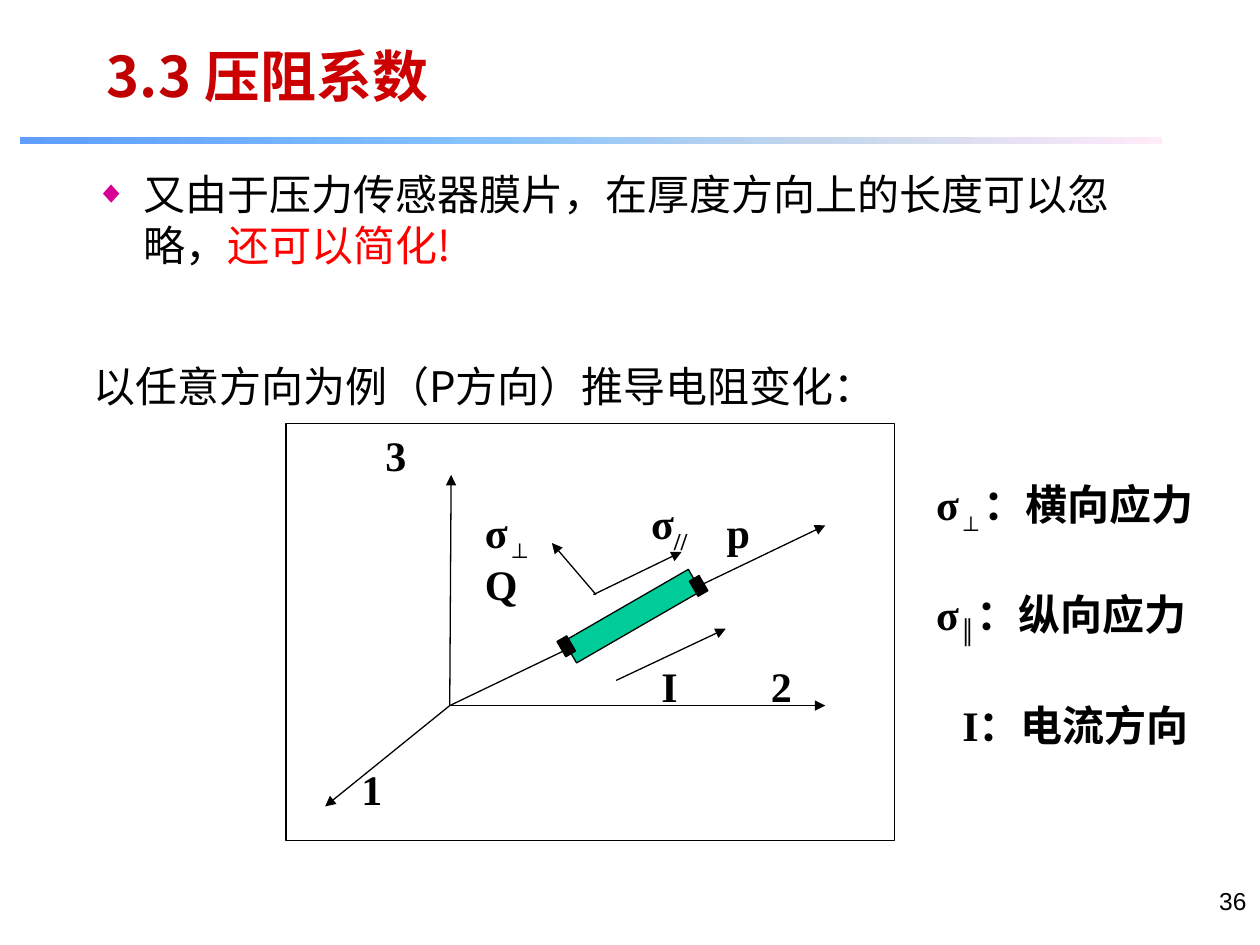
from pptx import Presentation
from pptx.dml.color import RGBColor
from pptx.enum.shapes import MSO_CONNECTOR as Conn, MSO_SHAPE as Geo
from pptx.enum.text import MSO_ANCHOR as Anchor, PP_ALIGN as Align
from pptx.oxml import parse_xml
from pptx.oxml.ns import qn
from pptx.util import Pt
from lxml.etree import SubElement

BLACK = RGBColor(0, 0, 0)
WHITE = RGBColor(0xFF, 0xFF, 0xFF)
GREEN = RGBColor(0x00, 0xCC, 0x99)
RED = RGBColor(0xFF, 0, 0)
DARK = RGBColor(0xC0, 0, 0)
TITLE = RGBColor(0xCC, 0, 0)
SANS, SERIF, ARIAL = "Noto Sans CJK SC", "Times New Roman", "Arial"
A_NS = "http://schemas.openxmlformats.org/drawingml/2006/main"

# Content: a run is (text, colour, baseline shift in %)
title = [("3.3", DARK, 0), (" 压阻系数", TITLE, 0)]
point = [("又由于压力传感器膜片，在厚度方向上的长度可以忽略，", BLACK, 0),
         ("还可以简化!", RED, 0)]
intro = [("以任意方向为例（P方向）推导电阻变化：", BLACK, 0)]
fade = [(0, "5E9EFF"), (40, "85C2FF"), (70, "C4D6EB"), (100, "FFEBFA")]

# Diagram: axes share one origin, other arrows are (from, to)
origin = (257, 403.2)
axes = [(471.6, 403.2), (257.8, 271.4), (185.8, 460.8), (471.6, 300.2)]
arrows = [((352.1, 388.8), (414.7, 359.3)),
          ((339.1, 339.8), (389.5, 315.4)),
          ((340.6, 339.8), (315.4, 310.3))]
bars = [((320.4, 344.9, 82.1, 14.4), GREEN),
        ((396, 329.8, 6.5, 10.1), BLACK),
        ((320.4, 364.3, 6.5, 10.1), BLACK)]
# Labels: left, top, text, subscript
labels = [(365, 280.8, "σ", "//"), (270, 285.8, "σ", "⊥"),
          (408.2, 285.8, "p", ""), (270, 315.4, "Q", ""),
          (199.4, 432.7, "1", ""), (433.4, 373.7, "2", ""),
          (213.1, 241.9, "3", ""), (370.8, 373.7, "I", "")]
# Legend: left, top, width, symbol, subscript, meaning
legend = [(527.8, 270, 164.9, "σ", "⊥", "：横向应力"),
          (527.8, 332.6, 164.9, "σ", "∥", "：纵向应力"),
          (542.9, 396, 145.4, "I", "", "：电流方向")]

prs = Presentation()
prs.slide_width, prs.slide_height = Pt(720), Pt(540)
slide = prs.slides.add_slide(prs.slide_layouts[6])
shapes = slide.shapes


def add_box(at, fill, line=BLACK, turn=0):
    box = shapes.add_shape(Geo.RECTANGLE, *map(Pt, at))
    box.shadow.inherit = False
    box.rotation = turn
    if fill is not None:
        box.fill.solid()
        box.fill.fore_color.rgb = fill
    if line is None:
        box.line.fill.background()
    else:
        box.line.color.rgb = line
        box.line.width = Pt(0.75)
    return box


def add_arrow(start, end):
    line = shapes.add_connector(Conn.STRAIGHT, *map(Pt, start + end))
    line.line.color.rgb = BLACK
    line.line.width = Pt(0.75)
    SubElement(line.line._get_or_add_ln(), qn("a:tailEnd"), type="triangle")
    SubElement(line._element.spPr, qn("a:effectLst"))


def add_text(at, runs, size=24, face=SANS, bold=False, anchor=Anchor.TOP):
    frame = shapes.add_textbox(*map(Pt, at)).text_frame
    frame.word_wrap = True
    frame.vertical_anchor = anchor
    para = frame.paragraphs[0]
    for text, color, shift in runs:
        if not text:
            continue
        run = para.add_run()
        run.text = text
        run.font.color.rgb = color
        props = run.font._element
        if shift:
            props.set("baseline", str(shift * 1000))
        SubElement(props, qn("a:ea"), typeface=SANS)
    return para, size, face, bold


def style(para, size, face, bold):
    para.font.size, para.font.name, para.font.bold = Pt(size), face, bold


def add_bullet(para, char, color, scale, indent):
    props = para._p.get_or_add_pPr()
    props.set("marL", str(Pt(indent)))
    props.set("indent", str(-Pt(indent)))
    tint = SubElement(props, qn("a:buClr"))
    SubElement(tint, qn("a:srgbClr"), val=color)
    SubElement(props, qn("a:buSzPct"), val=str(scale * 1000))
    SubElement(props, qn("a:buFont"), typeface=ARIAL)
    SubElement(props, qn("a:buChar"), char=char)


# Diagram frame and the fading rule under the title
add_box((163.4, 241.9, 347.8, 238.3), WHITE)
rule = add_box((11.5, 78.5, 652.3, 3.6), None, None)
stops = "".join(f'<a:gs pos="{pos * 1000}"><a:srgbClr val="{rgb}"/></a:gs>'
                for pos, rgb in fade)
rule._element.spPr.find(qn("a:prstGeom")).addnext(parse_xml(
    f'<a:gradFill xmlns:a="{A_NS}"><a:gsLst>{stops}</a:gsLst>'
    '<a:lin ang="0" scaled="0"/></a:gradFill>'))

# Page number, title and intro
number, *look = add_text((569.5, 502.6, 149.8, 36), [("36", BLACK, 0)],
                         14, ARIAL)
number.alignment = Align.RIGHT
style(number, *look)
style(*add_text((54, 20.2, 404.6, 45.4), title, 32, bold=True))
style(*add_text((46.1, 181.4, 589.7, 56.9), intro, anchor=Anchor.BOTTOM))

# Axes, resistor and arrows
for end in axes:
    add_arrow(origin, end)
for at, fill in bars:
    add_box(at, fill, turn=330)
for start, end in arrows:
    add_arrow(start, end)
for left, top, text, sub in labels:
    style(*add_text((left, top, 62.6, 25.2),
                    [(text, BLACK, 0), (sub, BLACK, -25)],
                    face=SERIF, bold=True))

# Bullet point
para, *look = add_text((47.5, 92.9, 607, 65.5), point)
add_bullet(para, "◆", "D60093", 75, 27.4)
style(para, *look)

# Legend
for left, top, width, sign, sub, text in legend:
    style(*add_text((left, top, width, 36),
                    [(sign, BLACK, 0), (sub, BLACK, -25), (text, BLACK, 0)],
                    face=SERIF, bold=True))

prs.save("out.pptx")
